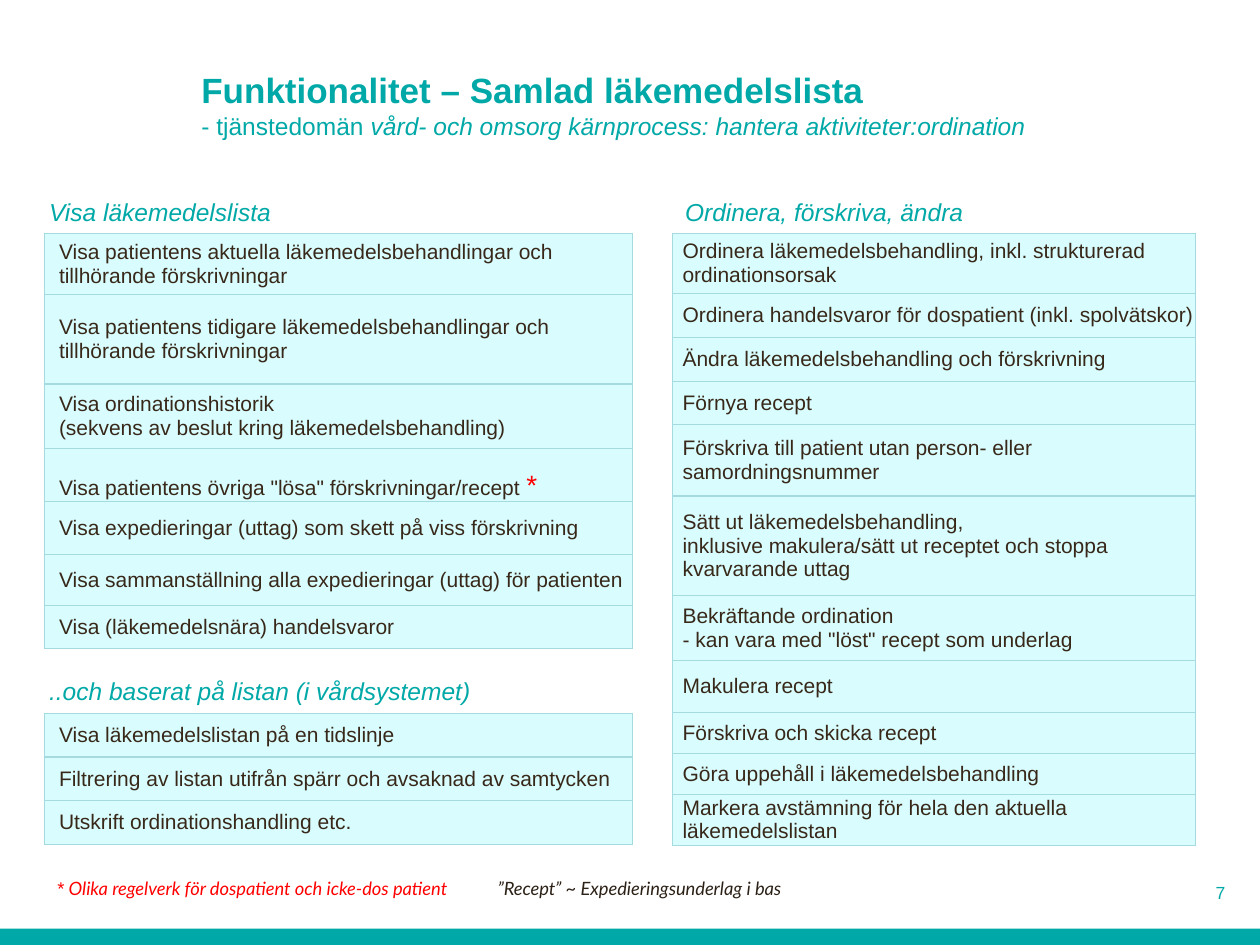
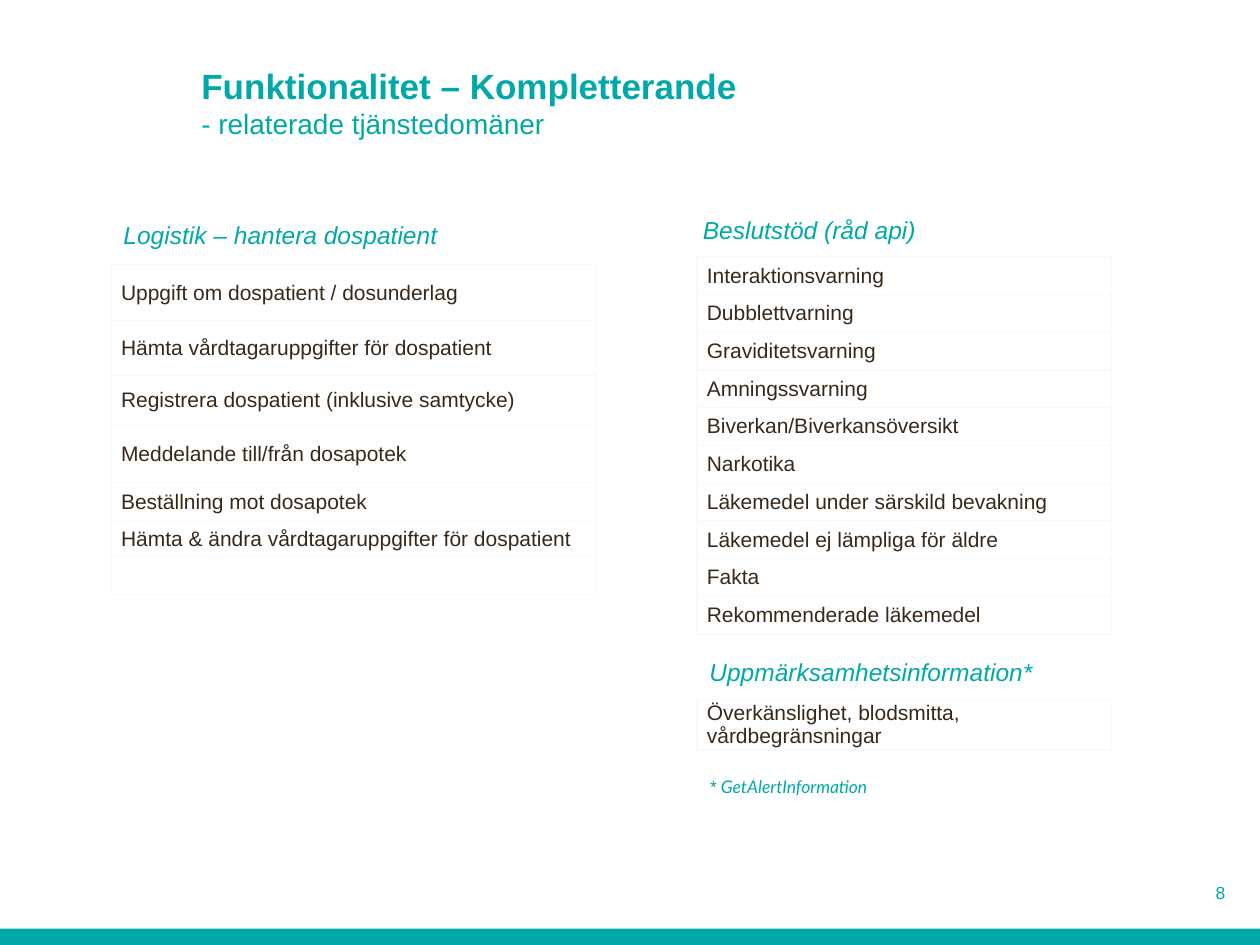
"""Builds two slides listing the functions of a shared medication list."""
from lxml.etree import SubElement
from pptx import Presentation
from pptx.dml.color import RGBColor
from pptx.enum.shapes import MSO_SHAPE
from pptx.enum.text import MSO_ANCHOR, PP_ALIGN
from pptx.oxml.ns import qn
from pptx.util import Cm, Pt

TEAL, BROWN, DARK, RED = "00A9A7", "382819", "2C2116", "FF0000"
BORDER_WIDTH = Pt(0.75)


def color(hex_string):
    return RGBColor.from_string(hex_string)


def write_runs(text_frame, runs):
    text_frame.word_wrap = True
    paragraph = text_frame.paragraphs[0]
    for text, size, hex_string, style, font_name in runs:
        for index, line in enumerate(text.split("\n")):
            if index:
                paragraph = text_frame.add_paragraph()
            if line:
                run = paragraph.add_run()
                run.text = line
                run.font.size = Pt(size)
                run.font.name = font_name
                run.font.bold = style == "bold"
                run.font.italic = style == "italic"
                run.font.color.rgb = color(hex_string)


slides = [
    {
        "number": 7,
        "title_width": 19.74,
        "title": [
            ("Funktionalitet – Samlad läkemedelslista", 20, TEAL, "bold", "Arial"),
            ("\n- tjänstedomän ", 14, TEAL, "plain", "Arial"),
            ("vård- och omsorg kärnprocess: hantera aktiviteter:ordination", 14, TEAL, "italic", "Arial"),
        ],
        "fill": "D9FDFF",
        "border": "A5DADE",
        "headings": [
            ("Visa läkemedelslista", 0.74, 3.84, 5.36),
            ("Ordinera, förskriva, ändra", 13.56, 3.84, 10.8),
            ("..och baserat på listan (i vårdsystemet)", 0.74, 13.51, 9.93),
        ],
        "tables": [
            (0.89, 4.7, 11.86, 0.3, [
                ("Visa patientens aktuella läkemedelsbehandlingar och tillhörande förskrivningar", 1.24),
                ("Visa patientens tidigare läkemedelsbehandlingar och tillhörande förskrivningar", 1.8),
                ("Visa ordinationshistorik\n(sekvens av beslut kring läkemedelsbehandling)", 1.3),
                ("Visa patientens övriga \"lösa\" förskrivningar/recept *", 1.07),
                ("Visa expedieringar (uttag) som skett på viss förskrivning", 1.07),
                ("Visa sammanställning alla expedieringar (uttag) för patienten", 1.02),
                ("Visa (läkemedelsnära) handelsvaror", 0.88),
            ]),
            (13.56, 4.7, 10.54, 0.2, [
                ("Ordinera läkemedelsbehandling, inkl. strukturerad ordinationsorsak", 1.22),
                ("Ordinera handelsvaror för dospatient (inkl. spolvätskor)", 0.88),
                ("Ändra läkemedelsbehandling och förskrivning", 0.89),
                ("Förnya recept", 0.87),
                ("Förskriva till patient utan person- eller samordningsnummer", 1.44),
                ("Sätt ut läkemedelsbehandling,\n"
                 "inklusive makulera/sätt ut receptet och stoppa kvarvarande uttag", 2.01),
                ("Bekräftande ordination\n- kan vara med \"löst\" recept som underlag", 1.3),
                ("Makulera recept", 1.05),
                ("Förskriva och skicka recept", 0.83),
                ("Göra uppehåll i läkemedelsbehandling", 0.83),
                ("Markera avstämning för hela den aktuella läkemedelslistan", 1),
            ]),
            (0.89, 14.38, 11.86, 0.3, [
                ("Visa läkemedelslistan på en tidslinje", 0.88),
                ("Filtrering av listan utifrån spärr och avsaknad av samtycken", 0.88),
                ("Utskrift ordinationshandling etc.", 0.88),
            ]),
        ],
        "notes": [
            (0.89, 17.55, 10.8, [
                ("* ", 10.5, RED, "italic", "Arial"),
                ("Olika regelverk för dospatient och icke-dos patient", 10.5, RED, "italic", "Lato"),
            ]),
            (9.78, 17.55, 8.05, [
                ("”Recept” ~ Expedieringsunderlag i bas", 10.5, DARK, "italic", "Lato"),
            ]),
        ],
    },
    {
        "number": 8,
        "title_width": 18.87,
        "title": [
            ("Funktionalitet – Kompletterande", 20, TEAL, "bold", "Arial"),
            ("\n- relaterade tjänstedomäner", 16, TEAL, "plain", "Arial"),
        ],
        "fill": "FFFFFF",
        "border": "F9F9F9",
        "headings": [
            ("Logistik – hantera dospatient", 2.24, 4.32, 7.32),
            ("Beslutstöd (råd api)", 13.92, 4.22, 7.87),
            ("Uppmärksamhetsinformation*", 14.05, 13.13, 7.75),
        ],
        "tables": [
            (14.05, 5.18, 8.36, 0.2, [(warning, 0.76) for warning in (
                "Interaktionsvarning", "Dubblettvarning", "Graviditetsvarning",
                "Amningssvarning", "Biverkan/Biverkansöversikt", "Narkotika",
                "Läkemedel under särskild bevakning", "Läkemedel ej lämpliga för äldre",
                "Fakta", "Rekommenderade läkemedel")]),
            (2.24, 5.33, 9.78, 0.2, [
                ("Uppgift om dospatient / dosunderlag", 1.14),
                ("Hämta vårdtagaruppgifter för dospatient", 1.09),
                ("Registrera dospatient (inklusive samtycke)", 1.02),
                ("Meddelande till/från dosapotek", 1.14),
                ("Beställning mot dosapotek", 0.79),
                ("Hämta & ändra vårdtagaruppgifter för dospatient", 0.71),
                ("", 0.71),
            ]),
            (14.05, 14.1, 8.36, 0.2, [
                ("Överkänslighet, blodsmitta, vårdbegränsningar", 1.02),
            ]),
        ],
        "notes": [
            (14.05, 15.52, 7.32, [
                ("* ", 10, TEAL, "italic", "Arial"),
                ("GetAlertInformation", 10, TEAL, "italic", "Lato"),
            ]),
        ],
    },
]

presentation = Presentation()
presentation.slide_width = Cm(25.4)
presentation.slide_height = Cm(19.05)

for content in slides:
    slide = presentation.slides.add_slide(presentation.slide_layouts[6])

    band = slide.shapes.add_shape(MSO_SHAPE.RECTANGLE, 0, Cm(18.72), Cm(25.4), Cm(0.33))
    band.shadow.inherit = False
    band.fill.solid()
    band.fill.fore_color.rgb = color(TEAL)
    band.line.fill.background()

    title = slide.shapes.add_textbox(Cm(3.81), Cm(1.02), Cm(content["title_width"]), Cm(1.93))
    title.text_frame.vertical_anchor = MSO_ANCHOR.BOTTOM
    write_runs(title.text_frame, content["title"])

    for left, top, width, indent, rows in content["tables"]:
        total_height = Cm(sum(height for _, height in rows))
        table = slide.shapes.add_table(len(rows), 1, Cm(left), Cm(top), Cm(width), total_height).table
        table.first_row = False
        table.horz_banding = False
        for row, (text, height) in zip(table.rows, rows):
            row.height = Cm(height)
            cell = row.cells[0]
            cell.margin_left = Cm(indent)
            cell.margin_right = cell.margin_top = cell.margin_bottom = 0
            starred = text.endswith("*")
            cell.vertical_anchor = MSO_ANCHOR.BOTTOM if starred else MSO_ANCHOR.MIDDLE
            runs = [(text.removesuffix("*"), 12, BROWN, "plain", "Arial")]
            if starred:
                runs.append(("*", 16, RED, "plain", "Arial"))
            write_runs(cell.text_frame, runs)
            properties = cell._tc.get_or_add_tcPr()
            for side in ("a:lnL", "a:lnR", "a:lnT", "a:lnB"):
                border = SubElement(properties, qn(side), w=str(BORDER_WIDTH))
                border_fill = SubElement(border, qn("a:solidFill"))
                SubElement(border_fill, qn("a:srgbClr"), val=content["border"])
            cell.fill.solid()
            cell.fill.fore_color.rgb = color(content["fill"])

    for text, left, top, width in content["headings"]:
        heading = slide.shapes.add_textbox(Cm(left), Cm(top), Cm(width), Cm(0.86))
        write_runs(heading.text_frame, [(text, 14, TEAL, "italic", "Arial")])

    for left, top, width, runs in content["notes"]:
        note = slide.shapes.add_textbox(Cm(left), Cm(top), Cm(width), Cm(0.71))
        write_runs(note.text_frame, runs)

    page_number = slide.shapes.add_textbox(Cm(23.22), Cm(17.65), Cm(1.73), Cm(0.61))
    write_runs(page_number.text_frame, [(str(content["number"]), 10, TEAL, "plain", "Arial")])
    page_number.text_frame.paragraphs[0].alignment = PP_ALIGN.RIGHT

presentation.save("out.pptx")
